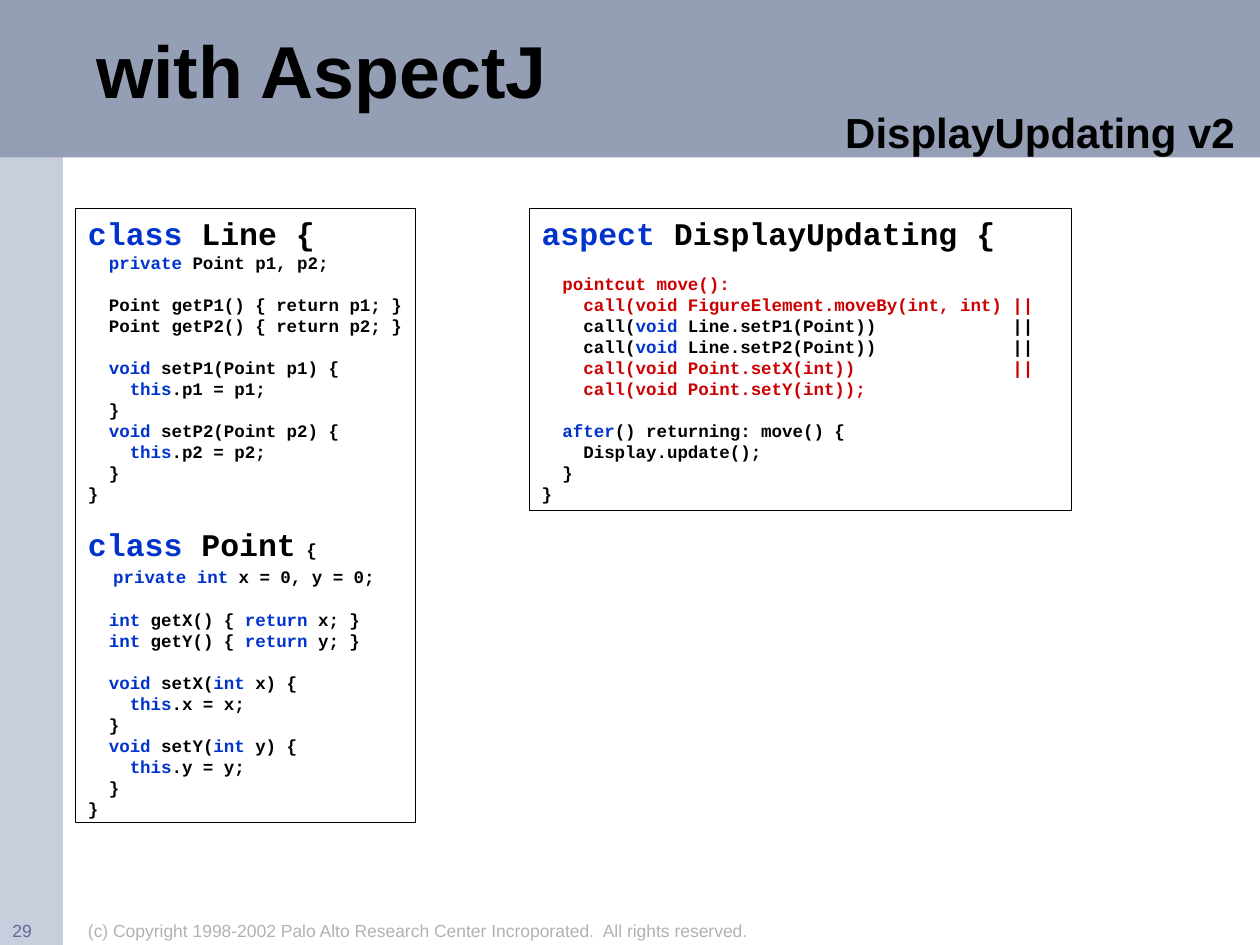
import pptx
import pptx.util
import pptx.dml.color
import pptx.enum.shapes
import pptx.enum.text

Inches, Pt = pptx.util.Inches, pptx.util.Pt
RGBColor = pptx.dml.color.RGBColor
PP_ALIGN = pptx.enum.text.PP_ALIGN
MSO_ANCHOR = pptx.enum.text.MSO_ANCHOR
MSO_AUTO_SIZE = pptx.enum.text.MSO_AUTO_SIZE

BAND = RGBColor(0x94, 0x9F, 0xB6)
SIDE = RGBColor(0xC8, 0xCE, 0xDC)
BLACK = RGBColor(0, 0, 0)
KEYWORD = RGBColor(0x00, 0x33, 0xCC)
CHANGED = RGBColor(0xCC, 0, 0)
GREY = RGBColor(0xB2, 0xB2, 0xB2)
PAGE_NO = RGBColor(0x66, 0x66, 0x99)

W, H = 10, 7.5
BAND_H, SIDE_W, FOOT_H = H / 6, W / 20, H / 30
CODE_LINE = 12  # height of one code line, in points

# Marks that switch a style on and off within a code line
COLOR_MARKS = {"`": KEYWORD, "~": CHANGED}
SIZE_MARKS = {"^": 18, "%": 12}

ASPECT_CODE = """^`aspect` DisplayUpdating {^

~  pointcut move():~
~    call(void FigureElement.moveBy(int, int) ||~
    call(`void` Line.setP1(Point))             ||
    call(`void` Line.setP2(Point))             ||
~    call(void Point.setX(int))               ||~
~    call(void Point.setY(int));~

`  after`() returning: move() {
    Display.update();
  }
}"""

CLASS_CODE = """^`class` Line {^
  `private` Point p1, p2;

  Point getP1() { return p1; }
  Point getP2() { return p2; }

  `void` setP1(Point p1) {
    `this`.p1 = p1;
  }
  `void` setP2(Point p2) {
    `this`.p2 = p2;
  }
}

^`class` Point^ {
%  %`private int` x = 0, y = 0;

  `int` getX() { `return` x; }
  `int` getY() { `return` y; }

  `void` setX(`int` x) {
    `this`.x = x;
  }
  `void` setY(`int` y) {
    `this`.y = y;
  }
}"""


def add_run(p, text, font="Arial", size=10, color=BLACK, bold=False):
    r = p.add_run()
    r.text = text
    r.font.name, r.font.size, r.font.bold = font, Pt(size), bold
    r.font.color.rgb = color


def add_text(slide, box, text, align=PP_ALIGN.LEFT, anchor=MSO_ANCHOR.TOP,
             spacing=None, **fmt):
    tf = slide.shapes.add_textbox(*map(Inches, box)).text_frame
    tf.word_wrap = True
    tf.vertical_anchor = anchor
    p = tf.paragraphs[0]
    p.alignment, p.line_spacing = align, spacing
    add_run(p, text, **fmt)


def add_rect(slide, box, fill=None, line=None):
    sp = slide.shapes.add_shape(pptx.enum.shapes.MSO_SHAPE.RECTANGLE, *map(Inches, box))
    sp.shadow.inherit = False
    if fill is None:
        sp.fill.background()
    else:
        sp.fill.solid()
        sp.fill.fore_color.rgb = fill
    if line is None:
        sp.line.fill.background()
    else:
        sp.line.color.rgb = line
        sp.line.width = Pt(0.25)
    return sp


def add_code_line(p, line):
    """Split a marked line into runs and add them to the paragraph."""
    color, size, text = BLACK, 10, ""
    for ch in line + "\n":
        if ch not in COLOR_MARKS and ch not in SIZE_MARKS and ch != "\n":
            text += ch
            continue
        if text:
            add_run(p, text, font="Courier New", size=size, color=color, bold=True)
        text = ""
        if ch in COLOR_MARKS:
            color = BLACK if color == COLOR_MARKS[ch] else COLOR_MARKS[ch]
        elif ch in SIZE_MARKS:
            size = 10 if size == SIZE_MARKS[ch] else SIZE_MARKS[ch]


def code_panel(slide, box, code):
    """Framed listing; an empty line becomes space before the next one."""
    tf = add_rect(slide, box, line=BLACK).text_frame
    tf.word_wrap = False
    tf.auto_size = MSO_AUTO_SIZE.SHAPE_TO_FIT_TEXT
    tf.vertical_anchor = MSO_ANCHOR.TOP
    p, gap = tf.paragraphs[0], 0
    for i, line in enumerate(code.split("\n")):
        if not line:
            gap += CODE_LINE
            continue
        if i:
            p = tf.add_paragraph()
        p.alignment = PP_ALIGN.LEFT
        if gap:
            p.space_before = Pt(gap)
        add_code_line(p, line)
        gap = 0


def header(slide, x, y, w, h):
    add_rect(slide, (x, y, w, h), fill=BAND)
    add_text(slide, (x + w / 15, y + 0.06 * h, w / 1.2, 0.84 * h), "with AspectJ",
             anchor=MSO_ANCHOR.MIDDLE, spacing=0.85, size=42, bold=True)
    add_text(slide, (x + 0.34 * w, y + 0.64 * h, 0.65 * w, 0.4 * h),
             "DisplayUpdating v2", align=PP_ALIGN.RIGHT, size=24, bold=True)


def footer(slide, x, y, w, h):
    add_text(slide, (x + 0.06 * w, y, 0.56 * w, h),
             "(c) Copyright 1998-2002 Palo Alto Research Center Incroporated."
             "  All rights reserved.", color=GREY)
    add_text(slide, (x, y, SIDE_W, h), "29", color=PAGE_NO)


def main():
    prs = pptx.Presentation()
    prs.slide_width, prs.slide_height = Inches(W), Inches(H)
    slide = prs.slides.add_slide(prs.slide_layouts[6])
    add_rect(slide, (0, 0, SIDE_W, H), fill=SIDE)
    header(slide, 0, 0, W, BAND_H)
    code_panel(slide, (0.42 * W, 0.22 * H, 0.43 * W, 0.32 * H), ASPECT_CODE)
    code_panel(slide, (0.06 * W, 0.22 * H, 0.27 * W, 0.65 * H), CLASS_CODE)
    footer(slide, 0, H - FOOT_H, W, FOOT_H)
    prs.save("out.pptx")


if __name__ == "__main__":
    main()
